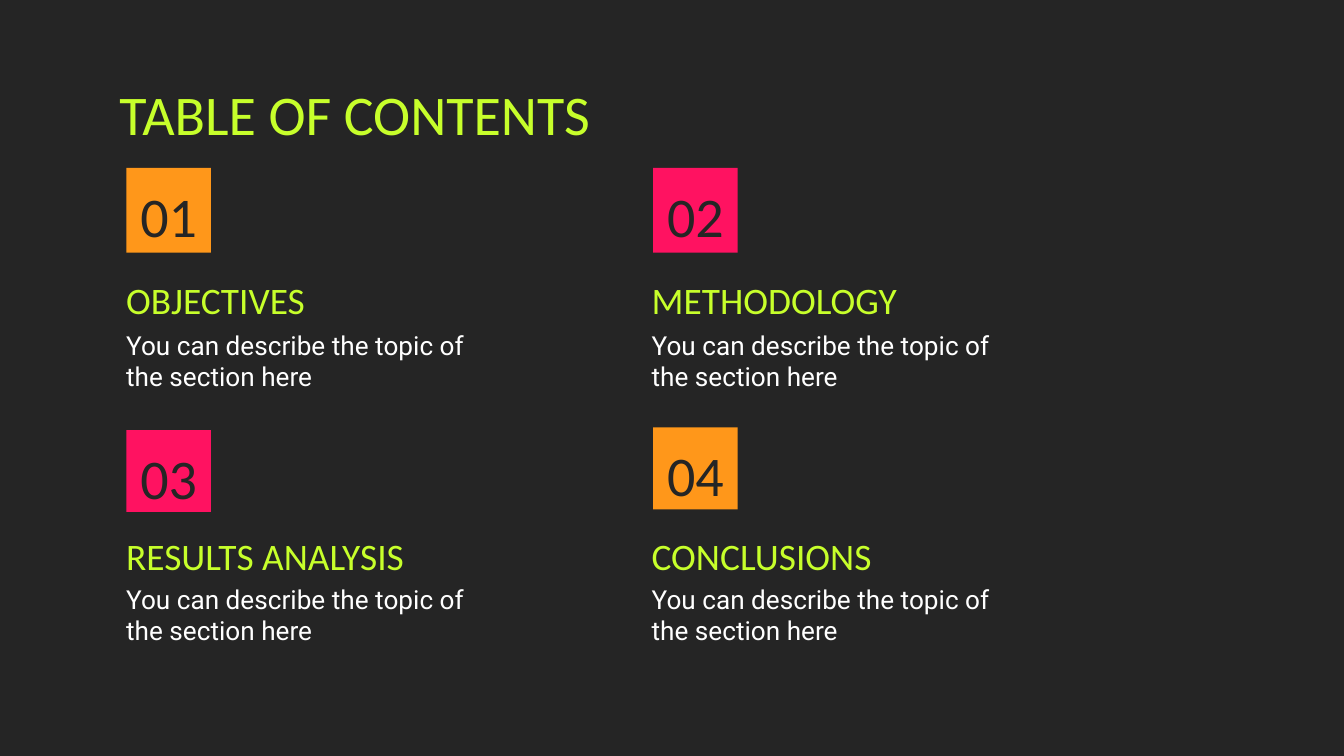
from dataclasses import dataclass

from pptx import Presentation
from pptx.dml.color import RGBColor
from pptx.enum.shapes import MSO_SHAPE
from pptx.enum.text import MSO_ANCHOR, PP_ALIGN
from pptx.util import Inches, Pt

RECTANGLE = MSO_SHAPE.RECTANGLE
TOP = MSO_ANCHOR.TOP
LEFT, CENTER = PP_ALIGN.LEFT, PP_ALIGN.CENTER


@dataclass(frozen=True)
class Theme:
    """Colours, fonts and type sizes of the slide."""
    dark: str = "252525"
    lime: str = "C7FF2B"
    white: str = "FFFFFF"
    orange: str = "FF971A"
    pink: str = "FF1261"
    heading_font: str = "Calibri"
    body_font: str = "Roboto"
    display_size: int = 30
    heading_size: int = 20
    body_size: int = 14


THEME = Theme()
DISPLAY = (THEME.heading_font, THEME.display_size, THEME.lime)
HEADING = (THEME.heading_font, THEME.heading_size, THEME.lime)
BODY = (THEME.body_font, THEME.body_size, THEME.white)
NUMBER = (THEME.heading_font, THEME.display_size, THEME.dark)

DESCRIPTION = "You can describe the topic of the section here"
COLUMNS = (0.84, 4.75)
ROWS = (
    {"top": 1.25, "badge_height": 0.63, "heading": 0.71, "body": 1.1},
    {"top": 3.19, "badge_height": 0.61, "heading": 0.68, "body": 1.05},
)
SECTIONS = (
    ("OBJECTIVES", THEME.orange, 0.1, 0),
    ("METHODOLOGY", THEME.pink, 0.11, 0),
    ("RESULTS ANALYSIS", THEME.pink, 0.1, 0.01),
    ("CONCLUSIONS", THEME.orange, 0.11, -0.01),
)


def write_text(shape, text, style, alignment=LEFT):
    """Write one styled paragraph into a shape."""
    frame = shape.text_frame
    margin = Inches(0.1)
    frame_format = {
        "word_wrap": True, "vertical_anchor": TOP,
        "margin_left": margin, "margin_right": margin,
        "margin_top": margin, "margin_bottom": margin,
    }
    for name, value in frame_format.items():
        setattr(frame, name, value)
    paragraph = frame.paragraphs[0]
    paragraph.alignment = alignment
    run = paragraph.add_run()
    run.text = text
    font_name, size, color = style
    for name, value in {"name": font_name, "size": Pt(size)}.items():
        setattr(run.font, name, value)
    run.font.color.rgb = RGBColor.from_string(color)


def add_text(slide, box, text, style):
    """Add a text box at a box given in inches."""
    shape = slide.shapes.add_textbox(*map(Inches, box))
    write_text(shape, text, style)


def add_badge(slide, box, number, color):
    """Add a filled rectangle holding a section number."""
    shape = slide.shapes.add_shape(RECTANGLE, *map(Inches, box))
    shape.shadow.inherit = False
    shape.fill.solid()
    shape.fill.fore_color.rgb = RGBColor.from_string(color)
    shape.line.fill.background()
    write_text(shape, f"{number:02d}", NUMBER, CENTER)


def add_section(slide, left, row, number, section):
    """Add the badge, heading and description of one section."""
    heading, color, badge_left, badge_shift = section
    top = row["top"]
    badge_box = (left + badge_left, top + badge_shift, 0.63, row["badge_height"])
    add_badge(slide, badge_box, number, color)
    add_text(slide, (left, top + row["heading"], 2.41, 0.58), heading, HEADING)
    add_text(slide, (left, top + row["body"], 2.85, 0.53), DESCRIPTION, BODY)


def add_contents_slide(presentation):
    """Add the table of contents with its grid of sections."""
    slide = presentation.slides.add_slide(presentation.slide_layouts[6])
    background = slide.background.fill
    background.solid()
    background.fore_color.rgb = RGBColor.from_string(THEME.dark)
    add_text(slide, (0.79, 0.49, 8.43, 0.63), "TABLE OF CONTENTS", DISPLAY)
    for index, section in enumerate(SECTIONS):
        row, column = divmod(index, len(COLUMNS))
        add_section(slide, COLUMNS[column], ROWS[row], index + 1, section)


def main():
    """Build and save the presentation."""
    presentation = Presentation()
    presentation.slide_width = Inches(10)
    presentation.slide_height = presentation.slide_width * 9 // 16
    add_contents_slide(presentation)
    presentation.save("out.pptx")


if __name__ == "__main__":
    main()
